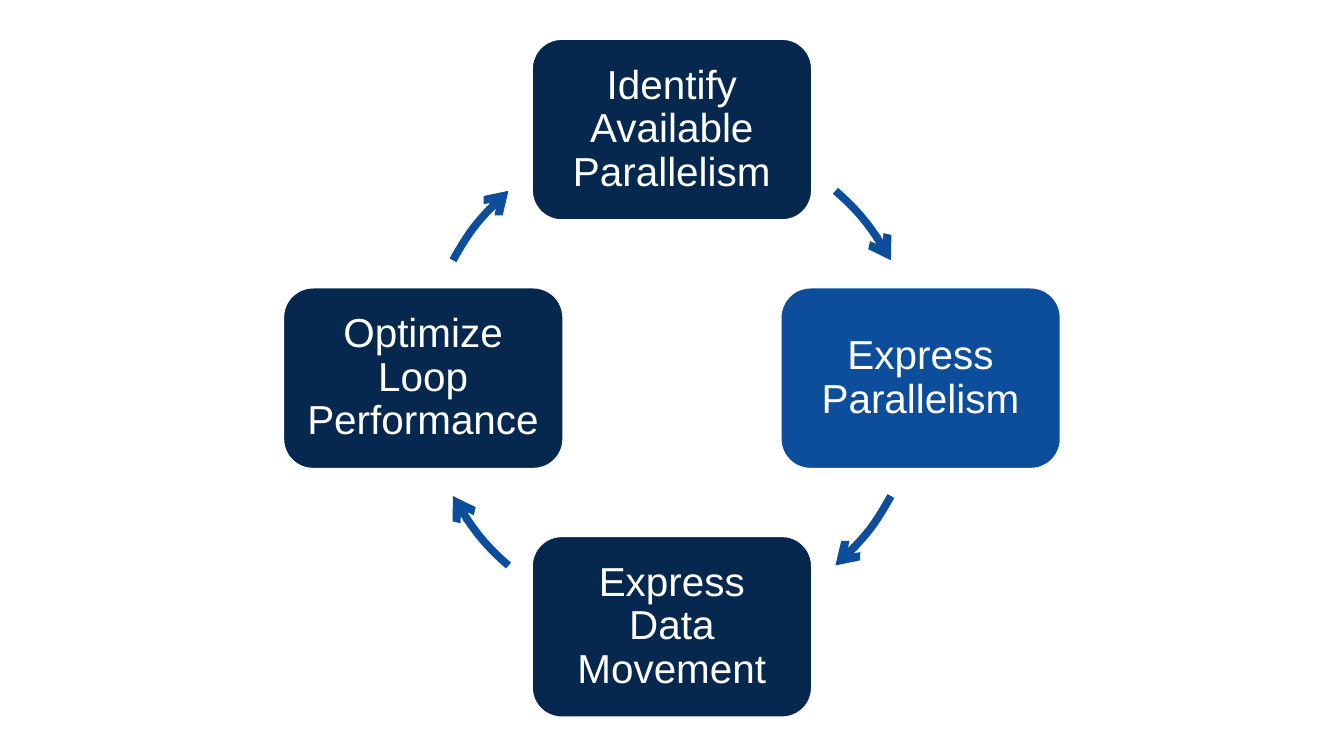
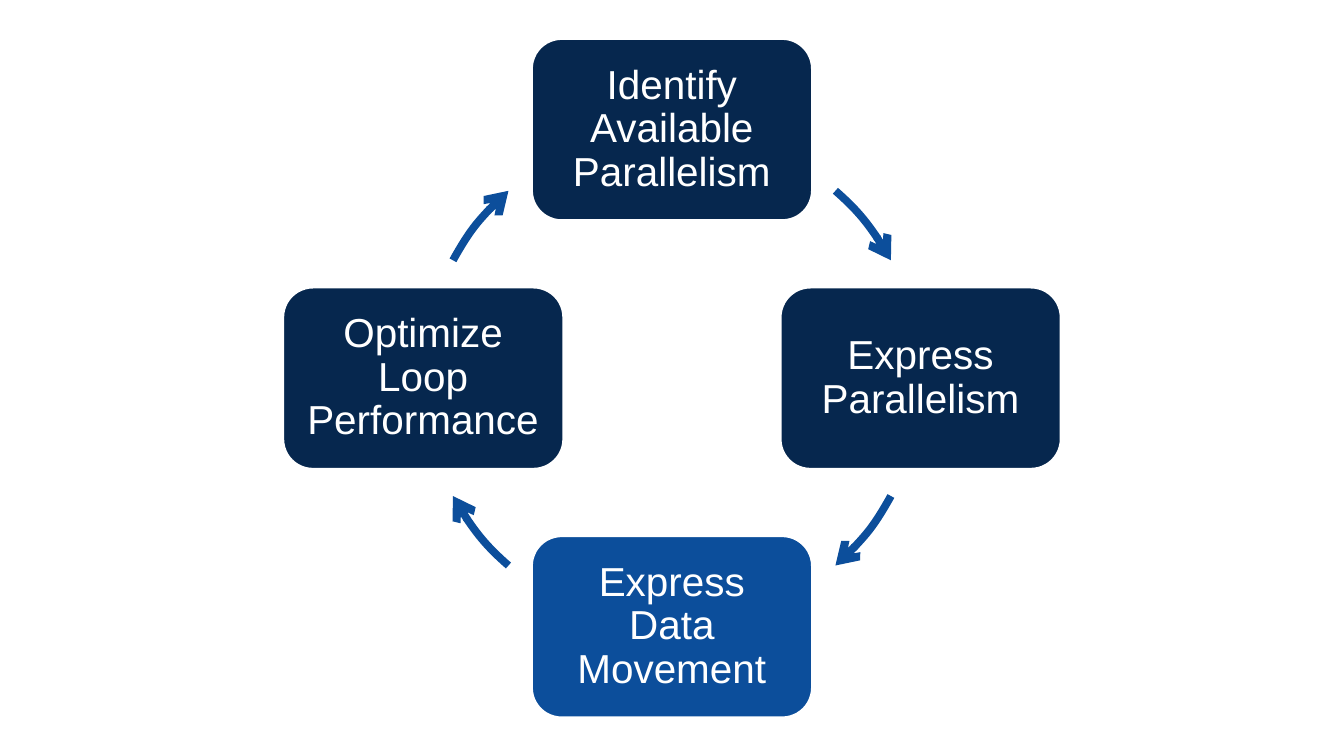
import math

import pptx
import pptx.dml.color
import pptx.enum.shapes
import pptx.enum.text
import pptx.oxml
import pptx.oxml.ns
import pptx.util
from pptx.util import Cm

COLORS = {"step": "06274E", "active": "0C4E9B", "arrow": "0C4E9B", "white": "FFFFFF"}
FONT = "Arial"
SLIDE_W, SLIDE_H = 30.48, 17.15

STEPS = [
    "Identify Available Parallelism",
    "Express Parallelism",
    "Express Data Movement",
    "Optimize Loop Performance",
]
STEP_W, STEP_H = 6.38, 4.14
ARROW_STARTS = [311.1, 28.3, 131.1, 208.3]  # degrees clockwise from the right
ARROW_SWEEP = 20.6

CYCLE_BOX = (6.41, 0.87, 17.66, 15.42)  # left, top, width, height in cm


def rgb(name):
    return pptx.dml.color.RGBColor.from_string(COLORS[name])


def add_step(slide, cx, cy, text, color):
    sp = slide.shapes.add_shape(
        pptx.enum.shapes.MSO_SHAPE.ROUNDED_RECTANGLE,
        Cm(cx - STEP_W / 2), Cm(cy - STEP_H / 2), Cm(STEP_W), Cm(STEP_H))
    sp.shadow.inherit = False
    sp.fill.solid()
    sp.fill.fore_color.rgb = rgb(color)
    sp.line.color.rgb = rgb("white")
    sp.line.width = pptx.util.Pt(2)
    tf = sp.text_frame
    tf.word_wrap = True
    tf.vertical_anchor = pptx.enum.text.MSO_ANCHOR.MIDDLE
    tf.margin_left = tf.margin_right = tf.margin_top = tf.margin_bottom = Cm(0.28)
    p = tf.paragraphs[0]
    p.text = text
    p.alignment = pptx.enum.text.PP_ALIGN.CENTER
    p.line_spacing = 0.9
    p.font.name = FONT
    p.font.size = pptx.util.Pt(26)
    p.font.color.rgb = rgb("white")


def add_arc_arrow(slide, cx, cy, radius, start):
    """Draw a clockwise arrow on the circle, from the angle start."""
    sp = slide.shapes.add_shape(
        pptx.enum.shapes.MSO_SHAPE.ARC,
        Cm(cx - radius), Cm(cy - radius), Cm(2 * radius), Cm(2 * radius))
    # The preset stores angles in 1/60000 degree, adjustments in 1/100000
    sp.adjustments[0] = start * 0.6
    sp.adjustments[1] = (start + ARROW_SWEEP) * 0.6
    sp.shadow.inherit = False
    sp.fill.background()
    sp.line.color.rgb = rgb("arrow")
    sp.line.width = pptx.util.Pt(5)
    sp.element.spPr.get_or_add_ln().append(pptx.oxml.parse_xml(
        f'<a:tailEnd {pptx.oxml.ns.nsdecls("a")} type="arrow"/>'))


def add_cycle(slide, box, active):
    """Fill the box with the ring of steps, highlighting the active one."""
    left, top, width, height = box
    cx, cy = left + width / 2, top + height / 2
    radius = (height - STEP_H) / 2
    for i, (text, start) in enumerate(zip(STEPS, ARROW_STARTS)):
        angle = math.radians(360 / len(STEPS) * i - 90)
        add_step(slide, cx + radius * math.cos(angle), cy + radius * math.sin(angle),
                 text, "active" if i == active else "step")
        add_arc_arrow(slide, cx, cy, radius, start)


def main():
    prs = pptx.Presentation()
    prs.slide_width, prs.slide_height = Cm(SLIDE_W), Cm(SLIDE_H)
    for active in (1, 2):
        slide = prs.slides.add_slide(prs.slide_layouts[6])
        add_cycle(slide, CYCLE_BOX, active)
    prs.save("out.pptx")


if __name__ == "__main__":
    main()
